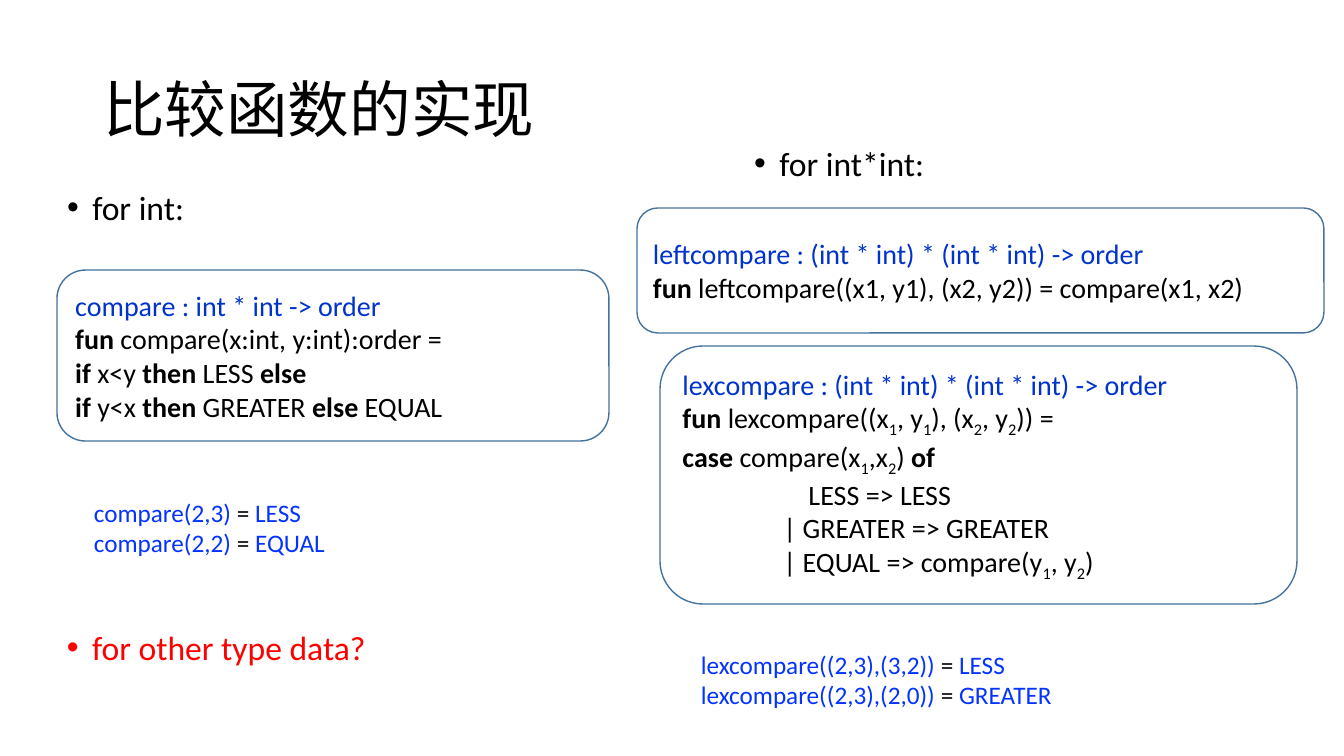
"""Build the slide on implementing comparison functions for int and int*int."""
import pptx
import pptx.dml.color
import pptx.enum.shapes
import pptx.enum.text
import pptx.oxml
import pptx.oxml.ns
import pptx.util

PX = 914400 / 100.8
THEME = {
    "font": "Calibri",
    "title": 44, "list": 24, "code": 20, "example": 18,
    "text": "000000", "signature": "0033CC", "call": "0433FF",
    "question": "FF0000", "outline": "43739E",
}
RUN_STYLES = {
    "signature": ("signature", False, False),
    "call": ("call", False, False),
    "plain": ("text", False, False),
    "keyword": ("text", True, False),
    "sub": ("text", False, True),
}


def px(*lengths):
    """Turn pixel lengths into EMU."""
    return [pptx.util.Emu(round(length * PX)) for length in lengths]


def write_lines(frame, lines, size):
    """Write one paragraph per (indent, runs) line."""
    frame.word_wrap = True
    for number, (indent, runs) in enumerate(lines):
        paragraph = frame.paragraphs[0] if number == 0 else frame.add_paragraph()
        paragraph.alignment = pptx.enum.text.PP_ALIGN.LEFT
        paragraph.font.name = THEME["font"]
        paragraph.font.size = pptx.util.Pt(size)
        if indent:
            paragraph._p.get_or_add_pPr().set("marL", str(px(indent)[0]))
        for style, text in runs:
            color, bold, subscript = RUN_STYLES[style]
            run = paragraph.add_run()
            run.text = text
            run.font.bold = bold
            run.font.color.rgb = pptx.dml.color.RGBColor.from_string(THEME[color])
            if subscript:
                run._r.get_or_add_rPr().set("baseline", "-25000")


presentation = pptx.Presentation()
presentation.slide_width, presentation.slide_height = px(1344, 756)
slide = presentation.slides.add_slide(presentation.slide_layouts.get_by_name("Two Content"))

title = slide.shapes.title
title.left, title.top, title.width, title.height = px(93, 40, 1159, 146)
title.text_frame.vertical_anchor = pptx.enum.text.MSO_ANCHOR.MIDDLE
write_lines(title.text_frame, [(0, [("plain", "比较函数的实现")])], THEME["title"])
title.text_frame.paragraphs[0].line_spacing = 0.9

question = slide.shapes.add_textbox(0, 0, 0, 0)
headings = [
    (slide.placeholders[1], (57, 186, 284, 66), "for int:", "text"),
    (slide.placeholders[2], (744, 142, 284, 66), "for int*int:", "text"),
    (question, (57, 626, 462, 66), "for other type data?", "question"),
]
for shape, box, text, color in headings:
    shape.left, shape.top, shape.width, shape.height = px(*box)
    frame = shape.text_frame
    frame.word_wrap = True
    frame.auto_size = pptx.enum.text.MSO_AUTO_SIZE.NONE
    frame.text = text
    paragraph = frame.paragraphs[0]
    paragraph.line_spacing = 0.9
    paragraph.space_before = pptx.util.Pt(10)
    paragraph.font.name = THEME["font"]
    paragraph.font.size = pptx.util.Pt(THEME["list"])
    paragraph.font.color.rgb = pptx.dml.color.RGBColor.from_string(THEME[color])
    properties = paragraph._p.get_or_add_pPr()
    properties.set("marL", "228600")
    properties.set("indent", "-228600")
    namespace = pptx.oxml.ns.nsdecls("a")
    for bullet in (f'<a:buFont {namespace} typeface="Arial"/>', f'<a:buChar {namespace} char="•"/>'):
        properties.insert_element_before(
            pptx.oxml.parse_xml(bullet), "a:tabLst", "a:defRPr", "a:extLst")

code_boxes = [
    ((57, 270, 552, 171), [
        (0, [("signature", "compare : int * int -> order")]),
        (0, [("keyword", "fun"), ("plain", " compare(x:int, y:int):order =")]),
        (0, [("keyword", "if"), ("plain", " x<y "), ("keyword", "then"),
             ("plain", " LESS "), ("keyword", "else")]),
        (0, [("keyword", "if"), ("plain", " y<x "), ("keyword", "then"),
             ("plain", " GREATER "), ("keyword", "else"), ("plain", " EQUAL")]),
    ]),
    ((637, 208, 687, 125), [
        (0, [("signature", "leftcompare : (int * int) * (int * int) -> order")]),
        (0, [("keyword", "fun"),
             ("plain", " leftcompare((x1, y1), (x2, y2)) = compare(x1, x2)")]),
    ]),
    ((660, 346, 637, 258), [
        (0, [("signature", "lexcompare : (int * int) * (int * int) -> order")]),
        (0, [("keyword", "fun"), ("plain", " lexcompare((x"), ("sub", "1"),
             ("plain", ", y"), ("sub", "1"), ("plain", "), (x"), ("sub", "2"),
             ("plain", ", y"), ("sub", "2"), ("plain", ")) =")]),
        (0, [("keyword", "case"), ("plain", " compare(x"), ("sub", "1"),
             ("plain", ",x"), ("sub", "2"), ("plain", ") "), ("keyword", "of")]),
        (126, [("plain", "LESS => LESS")]),
        (101, [("plain", "| GREATER => GREATER")]),
        (101, [("plain", "| EQUAL => compare(y"), ("sub", "1"),
               ("plain", ", y"), ("sub", "2"), ("plain", ")")]),
    ]),
]
for box, lines in code_boxes:
    shape = slide.shapes.add_shape(pptx.enum.shapes.MSO_SHAPE.ROUNDED_RECTANGLE, *px(*box))
    shape.shadow.inherit = False
    shape.fill.background()
    shape.line.color.rgb = pptx.dml.color.RGBColor.from_string(THEME["outline"])
    shape.line.width = pptx.util.Pt(1)
    shape.text_frame.vertical_anchor = pptx.enum.text.MSO_ANCHOR.MIDDLE
    write_lines(shape.text_frame, lines, THEME["code"])

examples = [
    ((84, 492, 309, 72), [("compare(2,3) ", "LESS"), ("compare(2,2) ", "EQUAL")]),
    ((691, 644, 672, 72), [("lexcompare((2,3),(3,2)) ", "LESS"),
                           ("lexcompare((2,3),(2,0)) ", "GREATER")]),
]
for box, results in examples:
    frame = slide.shapes.add_textbox(*px(*box)).text_frame
    frame.auto_size = pptx.enum.text.MSO_AUTO_SIZE.SHAPE_TO_FIT_TEXT
    lines = [(0, [("call", call), ("plain", "= "), ("call", result)]) for call, result in results]
    write_lines(frame, lines, THEME["example"])

presentation.save("out.pptx")
